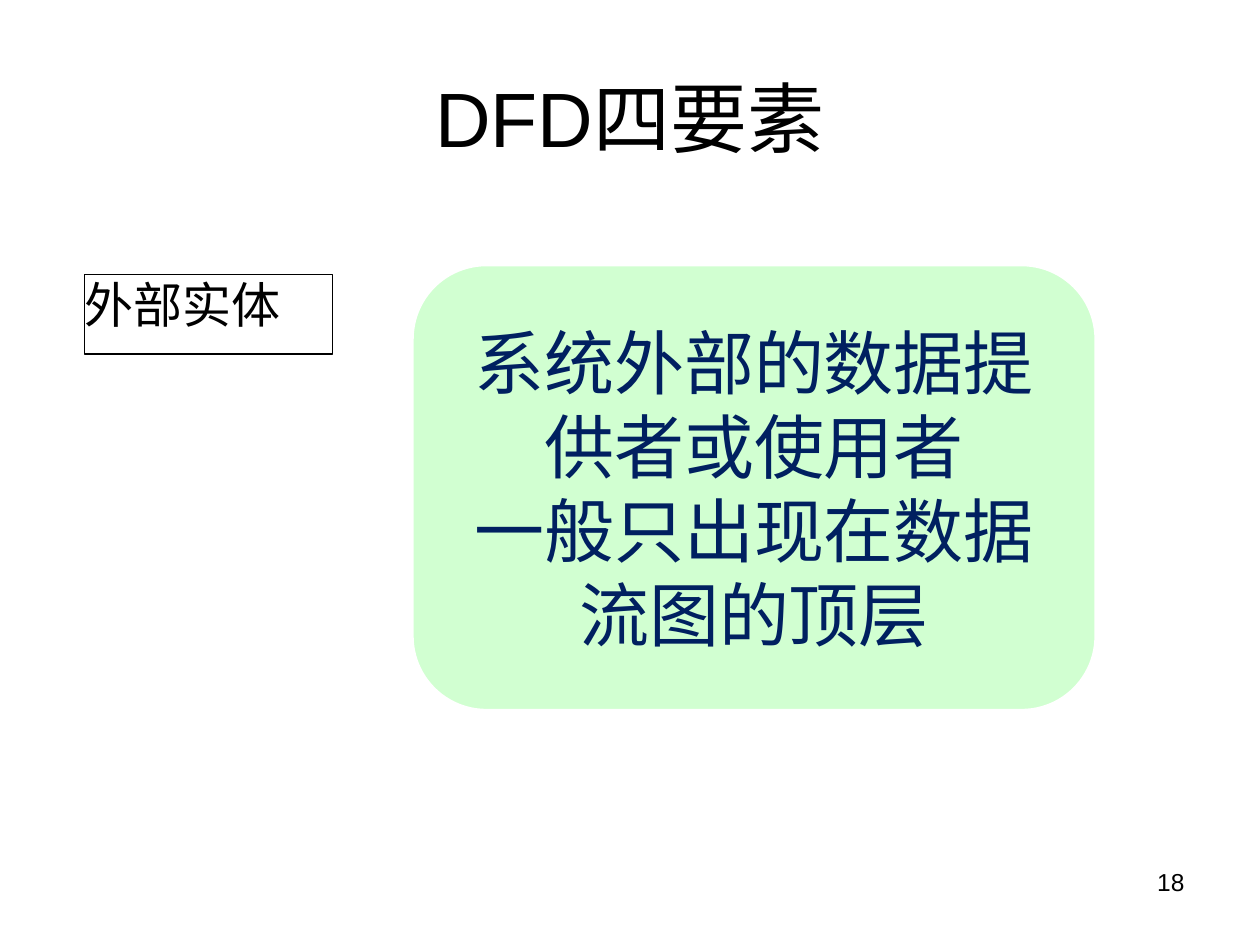
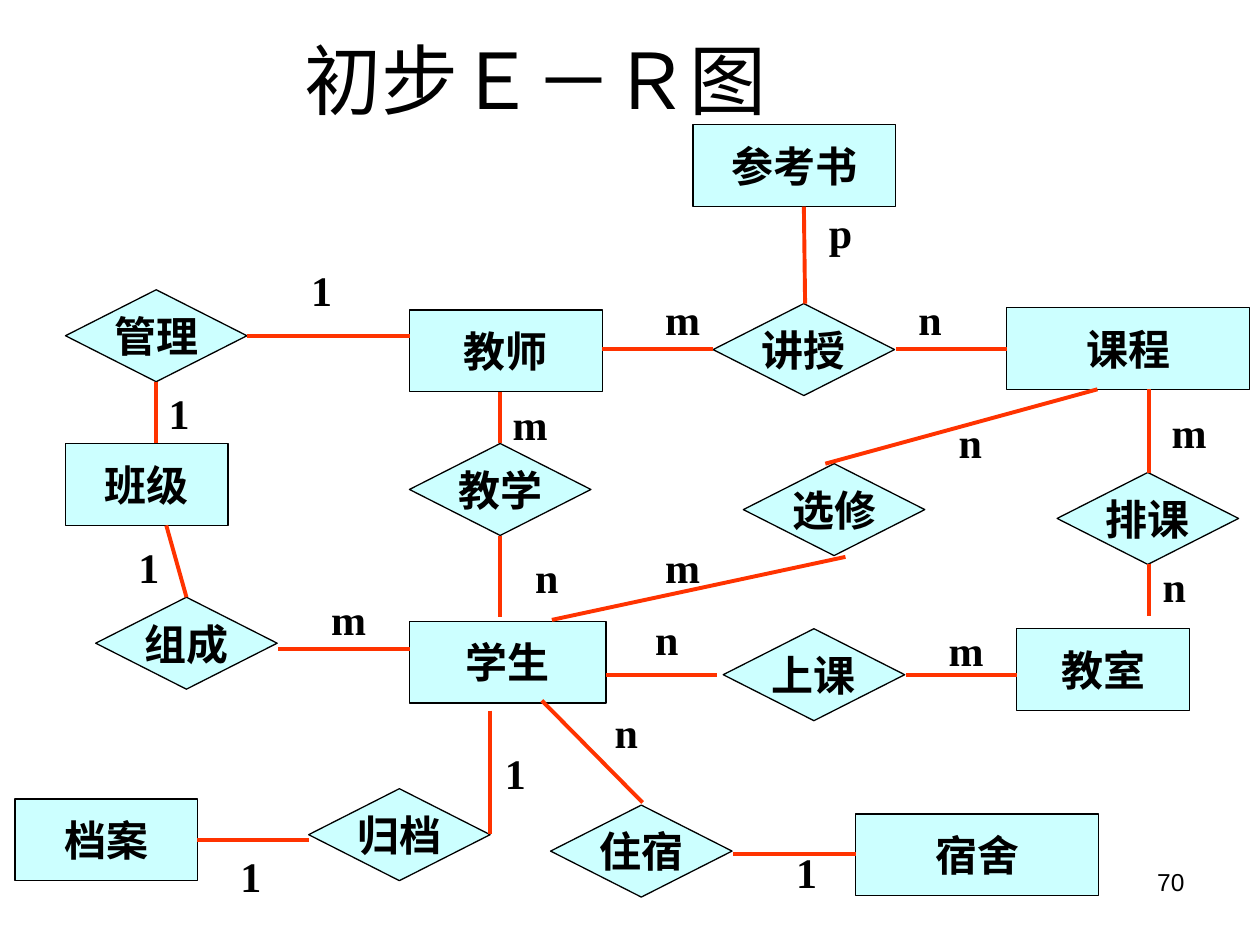
from dataclasses import dataclass
from typing import NamedTuple

from lxml.etree import SubElement
from pptx import Presentation
from pptx.dml.color import RGBColor
from pptx.enum.shapes import MSO_CONNECTOR as Wire, MSO_SHAPE as Form
from pptx.enum.text import MSO_ANCHOR as Anchor, MSO_AUTO_SIZE as Fit, PP_ALIGN as Align
from pptx.oxml.ns import qn
from pptx.util import Inches, Pt

BLACK, WHITE = "000000", "FFFFFF"
MINT, NAVY = "D1FFD1", "002060"
AQUA, RED = "CCFFFF", "FF3300"
SANS, SERIF, HAN = "Arial", "Times New Roman", "Noto Sans CJK SC"


@dataclass(frozen=True)
class Style:
    size: int
    font: str = SANS
    color: str = BLACK
    bold: bool = False
    align: Align = Align.CENTER
    anchor: Anchor = Anchor.MIDDLE
    pad: tuple[float, float] = (0.1, 0.05)
    wrap: bool = True


class Box(NamedTuple):
    left: float
    top: float
    width: float
    height: float


class Entity(NamedTuple):
    text: str
    left: float
    top: float
    width: float


class Bond(NamedTuple):
    """A relationship, drawn as a diamond."""
    text: str
    left: float
    top: float


class Link(NamedTuple):
    x1: float
    y1: float
    x2: float
    y2: float


class Label(NamedTuple):
    text: str
    left: float
    top: float
    width: float = 0.32


TITLE = Style(44)
NUMBER = Style(14, align=Align.RIGHT, anchor=Anchor.TOP)
TERM = Style(28, SERIF, align=Align.LEFT, anchor=Anchor.TOP, pad=(0, 0))
NOTE = Style(40, HAN, NAVY)
NODE = Style(24, SERIF, bold=True, wrap=False)
COUNT = Style(24, SERIF, bold=True, anchor=Anchor.TOP)

ENTITY_H = 0.65
BOND_W, BOND_H = 1.44, 0.73
LABEL_H = 0.5

ENTITIES = [
    Entity("参考书", 5.5, 0.99, 1.61),
    Entity("教师", 3.25, 2.46, 1.53),
    Entity("课程", 7.99, 2.44, 1.93),
    Entity("班级", 0.52, 3.52, 1.29),
    Entity("学生", 3.25, 4.93, 1.56),
    Entity("教室", 8.07, 4.99, 1.37),
    Entity("档案", 0.12, 6.34, 1.45),
    Entity("宿舍", 6.79, 6.46, 1.93),
]

BONDS = [
    Bond("管理", 0.52, 2.3),
    Bond("讲授", 5.66, 2.41),
    Bond("教学", 3.25, 3.52),
    Bond("选修", 5.9, 3.68),
    Bond("排课", 8.39, 3.75),
    Bond("组成", 0.76, 4.74),
    Bond("上课", 5.74, 4.99),
    Bond("归档", 2.45, 6.26),
    Bond("住宿", 4.37, 6.39),
]

LINKS = [
    Link(6.38, 1.64, 6.39, 2.41),
    Link(3.25, 2.67, 1.96, 2.67),
    Link(4.78, 2.77, 5.66, 2.77),
    Link(7.11, 2.77, 7.99, 2.77),
    Link(1.24, 3.03, 1.24, 3.52),
    Link(3.97, 3.11, 3.97, 3.52),
    Link(8.71, 3.09, 6.55, 3.68),
    Link(9.12, 3.09, 9.12, 3.75),
    Link(1.32, 4.17, 1.48, 4.74),
    Link(3.97, 4.25, 3.97, 4.9),
    Link(6.71, 4.42, 4.38, 4.92),
    Link(9.12, 4.48, 9.12, 4.89),
    Link(3.25, 5.15, 2.21, 5.15),
    Link(4.81, 5.36, 5.69, 5.36),
    Link(7.19, 5.36, 8.07, 5.36),
    Link(3.89, 5.64, 3.89, 6.62),
    Link(4.3, 5.56, 5.1, 6.37),
    Link(2.45, 6.67, 1.56, 6.67),
    Link(5.82, 6.78, 6.79, 6.78),
]

LABELS = [
    Label("p", 6.48, 1.59),
    Label("1", 2.37, 2.05),
    Label("m", 5.18, 2.28),
    Label("n", 7.19, 2.28),
    Label("1", 1.24, 3.03),
    Label("m", 3.97, 3.11),
    Label("m", 9.2, 3.18),
    Label("n", 7.51, 3.26),
    Label("1", 1, 4.25),
    Label("m", 5.18, 4.25),
    Label("n", 4.14, 4.33, 0.4),
    Label("n", 9.12, 4.4, 0.4),
    Label("m", 2.53, 4.66),
    Label("n", 5.1, 4.82),
    Label("m", 7.43, 4.91),
    Label("n", 4.78, 5.56),
    Label("1", 3.82, 5.88, 0.54),
    Label("1", 6.22, 6.67),
    Label("1", 1.81, 6.7),
]


def rgb(code: str) -> RGBColor:
    return RGBColor.from_string(code)


def place(box: Box) -> list[Inches]:
    return [Inches(side) for side in box]


def write(frame, text: str, style: Style) -> None:
    frame.text = text
    frame.auto_size = Fit.NONE
    frame.word_wrap = style.wrap
    frame.vertical_anchor = style.anchor
    frame.margin_left = frame.margin_right = Inches(style.pad[0])
    frame.margin_top = frame.margin_bottom = Inches(style.pad[1])
    for para in frame.paragraphs:
        para.alignment = style.align
        for run in para.runs:
            font = run.font
            font.size, font.name, font.bold = Pt(style.size), style.font, style.bold
            font.color.rgb = rgb(style.color)
            # East Asian glyphs take their own typeface
            SubElement(run._r.get_or_add_rPr(), qn("a:ea"), typeface=HAN)


def add_text(slide, box: Box, text: str, style: Style) -> None:
    write(slide.shapes.add_textbox(*place(box)).text_frame, text, style)


def add_form(slide, form: Form, box: Box, text: str, style: Style,
             fill: str, line: str = BLACK, weight: float = 0.75) -> None:
    shape = slide.shapes.add_shape(form, *place(box))
    shape.shadow.inherit = False
    shape.fill.solid()
    shape.fill.fore_color.rgb = rgb(fill)
    shape.line.color.rgb = rgb(line)
    shape.line.width = Pt(weight)
    write(shape.text_frame, text, style)


def add_link(slide, link: Link) -> None:
    wire = slide.shapes.add_connector(Wire.STRAIGHT, *[Inches(end) for end in link])
    wire.line.color.rgb = rgb(RED)
    wire.line.width = Pt(2.25)
    SubElement(wire._element.spPr, qn("a:effectLst"))


def add_page(deck, title: str, box: Box, number: str):
    """Add a slide with its title and page number."""
    slide = deck.slides.add_slide(deck.slide_layouts[5])
    head = slide.shapes.title
    head.left, head.top, head.width, head.height = place(box)
    write(head.text_frame, title, TITLE)
    add_text(slide, Box(7.17, 6.83, 2.33, 0.52), number, NUMBER)
    return slide


def add_terms(deck) -> None:
    slide = add_page(deck, "DFD四要素", Box(0.5, 0.3, 9, 1.25), "18")
    add_form(slide, Form.RECTANGLE, Box(0.67, 2.18, 1.97, 0.63), "外部实体", TERM, WHITE)
    note = "系统外部的数据提供者或使用者\n一般只出现在数据流图的顶层"
    add_form(slide, Form.ROUNDED_RECTANGLE, Box(3.27, 2.1, 5.43, 3.54), note, NOTE,
             MINT, WHITE, 2)


def add_graph(deck) -> None:
    slide = add_page(deck, "初步Ｅ－Ｒ图", Box(0, 0, 8.5, 1.25), "70")
    for item in ENTITIES:
        box = Box(item.left, item.top, item.width, ENTITY_H)
        add_form(slide, Form.RECTANGLE, box, item.text, NODE, AQUA)
    for bond in BONDS:
        box = Box(bond.left, bond.top, BOND_W, BOND_H)
        add_form(slide, Form.FLOWCHART_DECISION, box, bond.text, NODE, AQUA)
    for link in LINKS:
        add_link(slide, link)
    for label in LABELS:
        box = Box(label.left, label.top, label.width, LABEL_H)
        add_text(slide, box, label.text, COUNT)


def main() -> None:
    deck = Presentation()
    deck.slide_width, deck.slide_height = Inches(10), Inches(7.5)
    add_terms(deck)
    add_graph(deck)
    deck.save("out.pptx")


if __name__ == "__main__":
    main()
